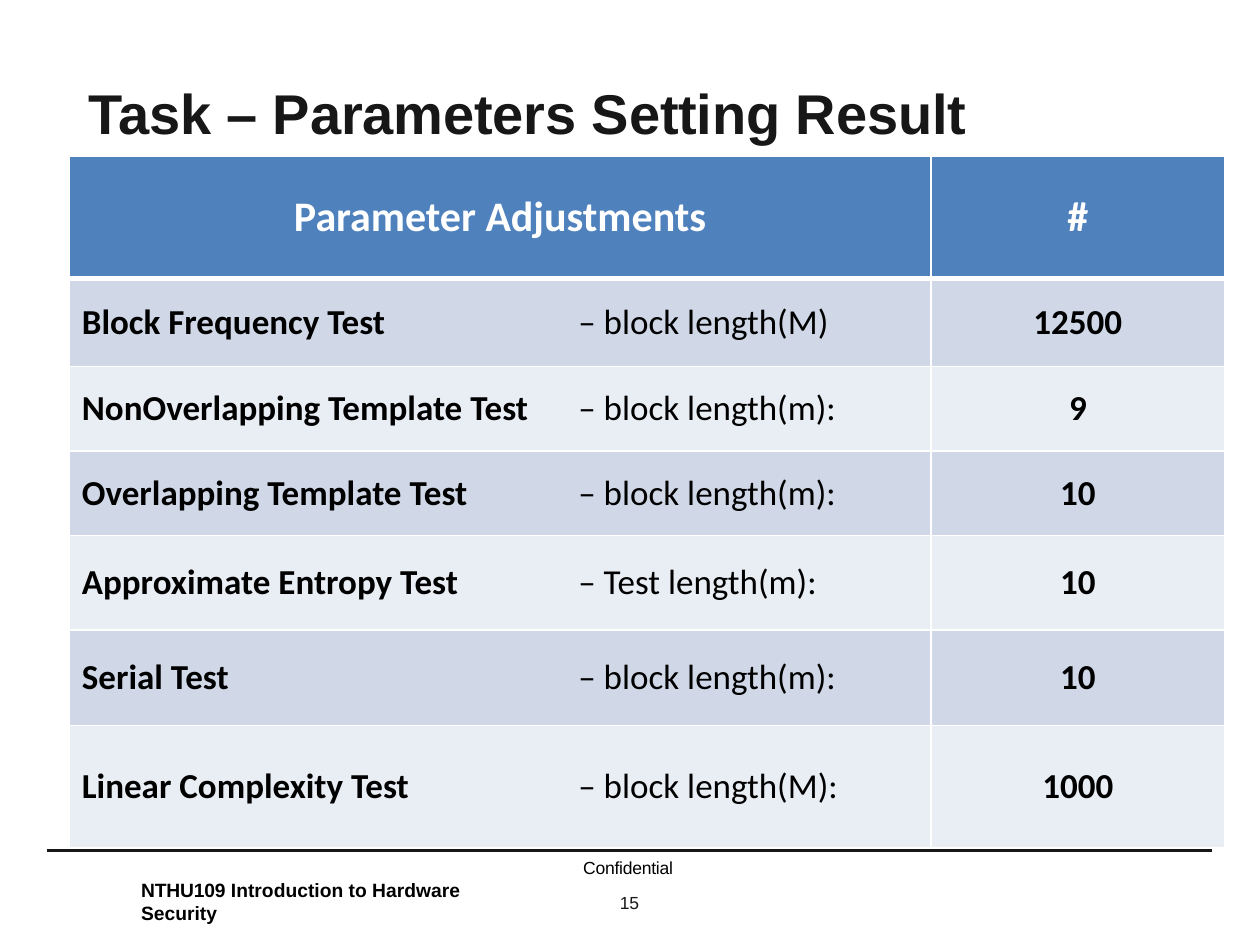
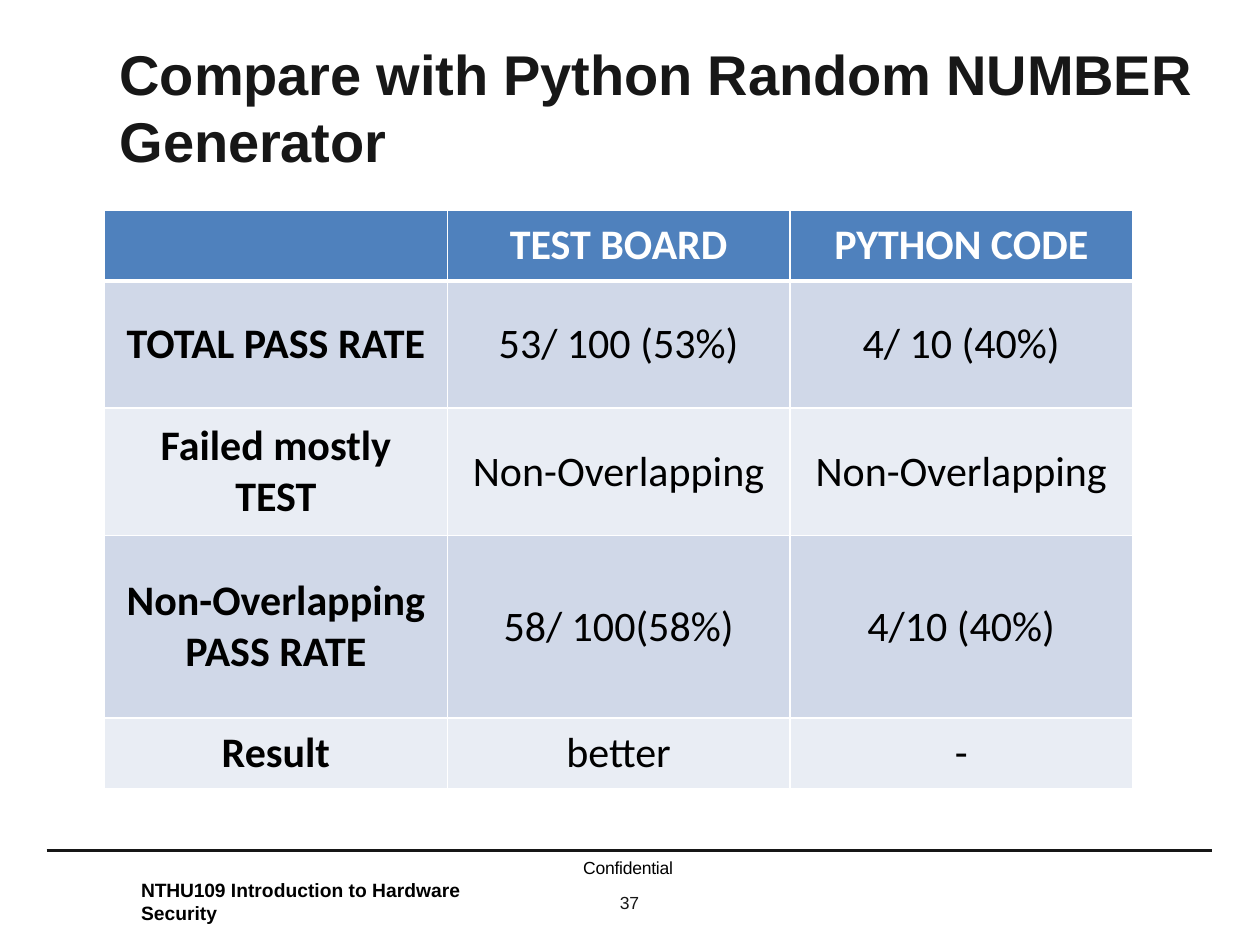
from lxml import etree
from pptx import Presentation
from pptx.dml.color import RGBColor
from pptx.enum import shapes, text
from pptx.oxml import ns
from pptx.util import Inches, Pt

# Content: a cell is a list of paragraphs, a paragraph a list of (text, bold)
TESTS = [
    ("Block Frequency Test", "– block length(M)", "12500"),
    ("NonOverlapping Template Test", "– block length(m):", "9"),
    ("Overlapping Template Test", "– block length(m):", "10"),
    ("Approximate Entropy Test", "– Test length(m):", "10"),
    ("Serial Test", "– block length(m):", "10"),
    ("Linear Complexity Test", "– block length(M):", "1000"),
]
SCORES = [
    (["TOTAL PASS RATE"], "53/ 100 (53%)", "4/ 10 (40%)"),
    (["Failed mostly TEST"], "Non-Overlapping", "Non-Overlapping"),
    (["Non-Overlapping", "PASS RATE"], "58/ 100(58%)", "4/10 (40%)"),
    (["Result"], "better", "-"),
]


def plain(words, bold=False):
    return [[(words, bold)]]


SLIDES = [
    dict(
        title="Task – Parameters Setting Result", number="15",
        title_at=(0.7, 0.62, 9.05, 0.54), table_at=(0.55, 1.24),
        cols=[6.84, 2.33], rows=[0.97, 0.7, 0.67, 0.67, 0.75, 0.76, 0.97],
        head=["Parameter Adjustments", "#"], size=20, tab=3.94,
        body=[[[[(name + "\t", True), (note, False)]], plain(value, True)]
              for name, note, value in TESTS],
    ),
    dict(
        title="Compare with Python Random NUMBER Generator", number="37",
        title_at=(0.95, 0.31, 9.05, 1.08), table_at=(0.83, 1.67),
        cols=[2.72] * 3, rows=[0.56, 1.01, 1.01, 1.45, 0.56],
        head=["", "TEST BOARD", "PYTHON CODE"], size=24, tab=None,
        body=[[[[(line, True)] for line in label], plain(board), plain(code)]
              for label, board, code in SCORES],
    ),
]

# Shared look
DARK, BLACK, WHITE = "171717", "000000", "FFFFFF"
HEAD, BANDS = "4F81BD", ("D0D8E8", "E9EDF4")
CENTER = text.PP_ALIGN.CENTER


def rgb(code):
    return RGBColor.from_string(code)


def add_run(para, words, size, color, bold=False, font="Arial", tight=False):
    run = para.add_run()
    run.text = words
    run.font.name, run.font.size, run.font.bold = font, Pt(size), bold
    run.font.color.rgb = rgb(color)
    if tight:
        run.font._element.set("spc", "-10")


def add_box(slide, at):
    frame = slide.shapes.add_textbox(*map(Inches, at)).text_frame
    frame.word_wrap = True
    frame.margin_left = frame.margin_right = 0
    frame.margin_top = frame.margin_bottom = 0
    return frame


def indent(para, inches):
    para._p.get_or_add_pPr().set("marL", str(Inches(inches)))


def add_frame(slide, page):
    # Footer rule
    rule = slide.shapes.add_connector(
        shapes.MSO_CONNECTOR.STRAIGHT, *map(Inches, (0.37, 6.75, 9.62, 6.75)))
    rule.line.color.rgb, rule.line.width = rgb(DARK), Pt(2.28)
    etree.SubElement(rule._element.spPr, ns.qn("a:effectLst"))

    # Notice and page number
    frame = add_box(slide, (4.61, 6.8, 0.75, 0.46))
    notice, number = frame.paragraphs[0], frame.add_paragraph()
    notice.alignment = number.alignment = CENTER
    add_run(notice, "Confidential", 10, BLACK, tight=True)
    indent(number, 0.02)
    number.space_before = Pt(8.1)
    add_run(number, page["number"], 10, DARK, tight=True)

    # Course name
    course = add_box(slide, (1.11, 6.97, 3.19, 0.2)).paragraphs[0]
    indent(course, 0.01)
    add_run(course, "NTHU109 ", 11, BLACK, True, tight=True)
    add_run(course, "Introduction to Hardware Security", 11, BLACK, True)

    # Title
    title = add_box(slide, page["title_at"]).paragraphs[0]
    add_run(title, page["title"], 32, DARK, True, tight=True)


def add_borders(cell, top, bottom):
    props = cell._tc.get_or_add_tcPr()
    for side, width in (("L", 1), ("R", 1), ("T", top), ("B", bottom)):
        line = etree.SubElement(props, ns.qn("a:ln" + side), w=str(Pt(width)))
        fill = etree.SubElement(line, ns.qn("a:solidFill"))
        etree.SubElement(fill, ns.qn("a:srgbClr"), val=WHITE)


def set_tab(para, inches):
    stops = etree.SubElement(para._p.get_or_add_pPr(), ns.qn("a:tabLst"))
    etree.SubElement(stops, ns.qn("a:tab"), pos=str(Inches(inches)), algn="l")


def fill_cell(cell, paras, size, color, back, tab):
    cell.fill.solid()
    cell.fill.fore_color.rgb = rgb(back)
    cell.vertical_anchor = text.MSO_ANCHOR.MIDDLE
    frame = cell.text_frame
    for i, runs in enumerate(paras):
        para = frame.add_paragraph() if i else frame.paragraphs[0]
        if tab:
            set_tab(para, tab)
        else:
            para.alignment = CENTER
        for words, bold in runs:
            if words:
                add_run(para, words, size, color, bold, "Calibri")


def add_grid(slide, page):
    cols, rows = page["cols"], page["rows"]
    at = (*page["table_at"], sum(cols), sum(rows))
    grid = slide.shapes.add_table(
        len(rows), len(cols), *map(Inches, at)).table
    for col, width in zip(grid.columns, cols):
        col.width = Inches(width)
    for row, height in zip(grid.rows, rows):
        row.height = Inches(height)

    cells = [[plain(words, True) for words in page["head"]]] + page["body"]
    for r, line in enumerate(cells):
        for c, paras in enumerate(line):
            cell = grid.cell(r, c)
            add_borders(cell, 3 if r == 1 else 1, 3 if r == 0 else 1)
            if r == 0:
                fill_cell(cell, paras, 24, WHITE, HEAD, None)
            else:
                tab = page["tab"] if c == 0 else None
                fill_cell(cell, paras, page["size"], BLACK,
                          BANDS[(r - 1) % 2], tab)


def main():
    deck = Presentation()
    deck.slide_width, deck.slide_height = Inches(10), Inches(7.5)
    for page in SLIDES:
        slide = deck.slides.add_slide(deck.slide_layouts[6])
        add_frame(slide, page)
        add_grid(slide, page)
    deck.save("out.pptx")


if __name__ == "__main__":
    main()
